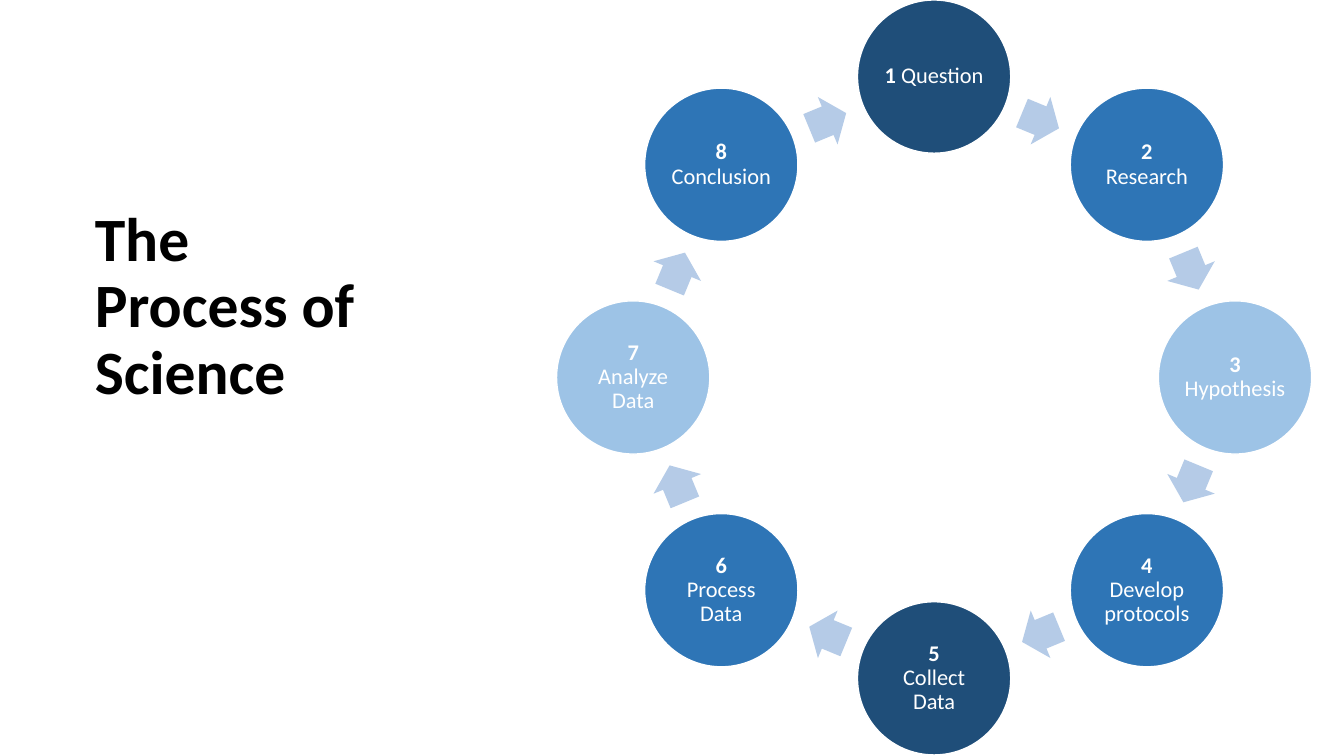
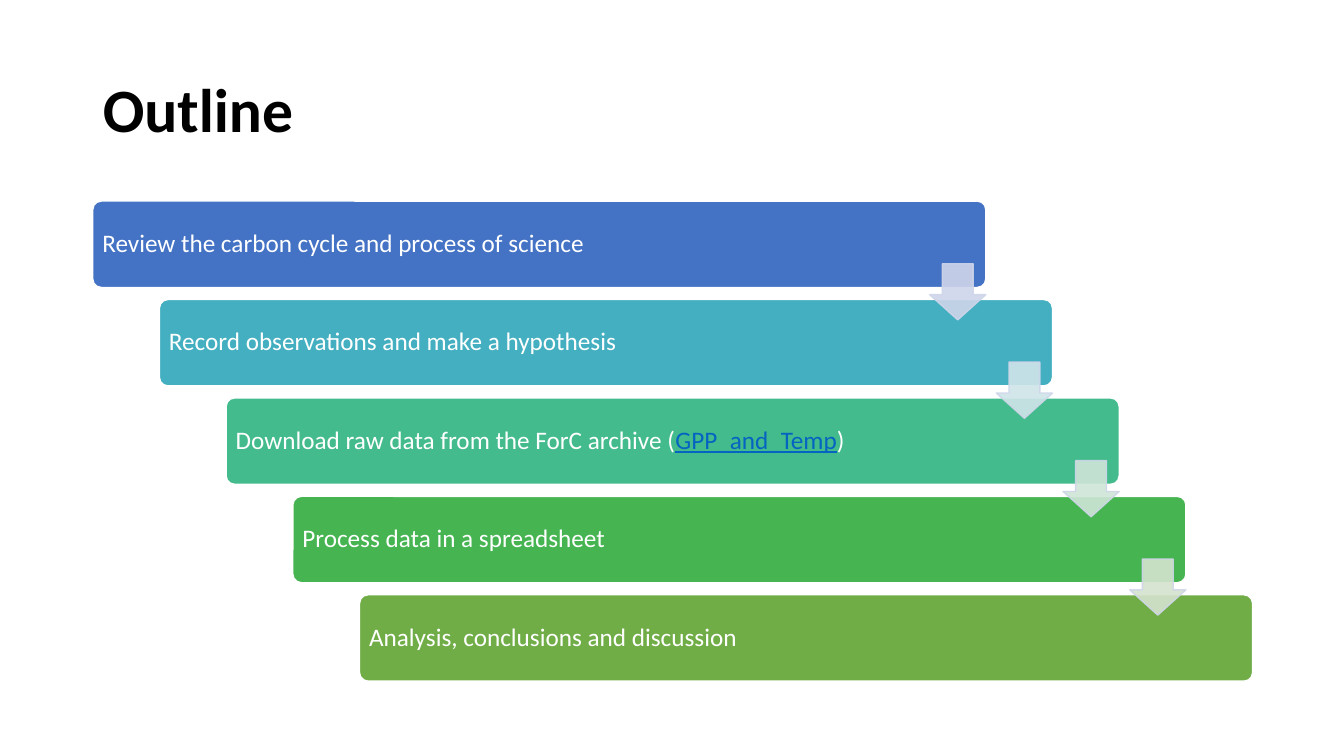
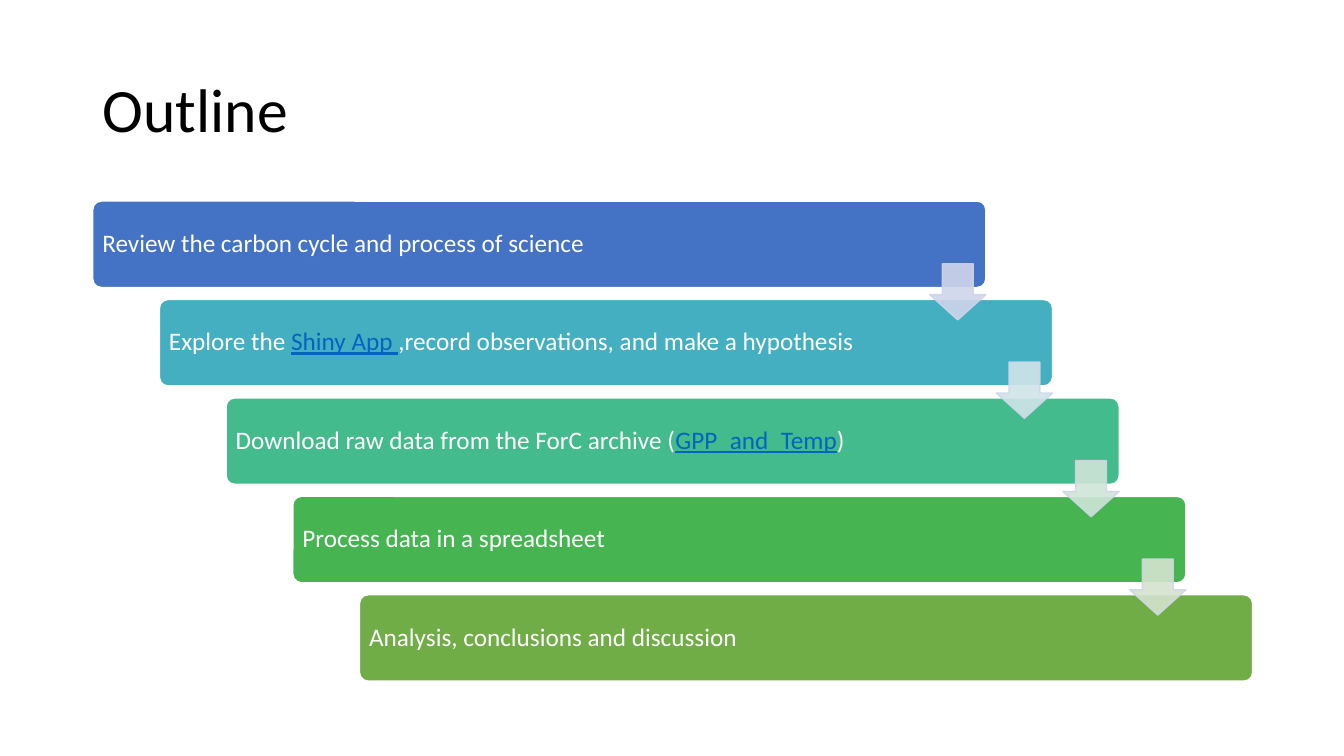
from dataclasses import dataclass
from math import cos, pi, sin

from lxml.etree import SubElement
from pptx import Presentation
from pptx.dml.color import RGBColor
from pptx.enum.shapes import MSO_SHAPE as SHAPE
from pptx.enum.text import MSO_ANCHOR as ANCHOR, MSO_AUTO_SIZE as AUTO, PP_ALIGN as ALIGN
from pptx.oxml.ns import qn
from pptx.util import Inches, Pt

WIDE, HIGH = 13.33, 7.5


@dataclass(frozen=True)
class Theme:
    font: str = "Calibri"
    ink: str = "000000"
    paper: str = "FFFFFF"
    link: str = "0563C1"
    discs: tuple = ("1F4E79", "2E75B6", "9DC3E6", "2E75B6")
    turn: str = "B5CBE7"
    bars: tuple = ("4472C4", "43AFC0", "43BB8D", "45B451", "70AD47")
    drops: tuple = ("CFD5EA", "CFE5E8", "CFE5D8", "D5E3CF")
    edge: str = "CFD5EA"
    head: int = 44
    step: int = 18
    label: int = 16


LOOK = Theme()


def share(x, y, w, h):
    """Turn shares of the slide into a box in inches."""
    return x * WIDE, y * HIGH, w * WIDE, h * HIGH


def paint(fill, color, alpha=None):
    fill.solid()
    fill.fore_color.rgb = RGBColor.from_string(color)
    if alpha:
        tint = fill._xPr.find(qn("a:solidFill"))[0]
        SubElement(tint, qn("a:alpha")).set("val", str(alpha * 1000))


def draw(slide, kind, box, color, edge=None, adj=(), alpha=None):
    item = slide.shapes.add_shape(kind, *map(Inches, box))
    item.shadow.inherit = False
    paint(item.fill, color, alpha)
    if edge:
        item.line.width = Pt(1)
        paint(item.line.fill, edge, alpha)
    else:
        item.line.fill.background()
    for i, val in enumerate(adj):
        item.adjustments[i] = val
    return item


def write(item, runs, size, color, align=ALIGN.LEFT, pad=0.1):
    """Fill a shape with one paragraph; each run is (text, format values)."""
    frame = item.text_frame
    form = {"word_wrap": True, "auto_size": AUTO.NONE, "vertical_anchor": ANCHOR.MIDDLE}
    form |= {f"margin_{side}": Inches(pad) for side in ("left", "right", "top", "bottom")}
    for key, val in form.items():
        setattr(frame, key, val)
    para = frame.paragraphs[0]
    para.alignment, para.line_spacing = align, 0.9
    for text, extra in runs:
        if text == "\n":
            para.add_line_break()
            continue
        run = para.add_run()
        run.text = text
        look = {"name": LOOK.font, "size": Pt(size), "bold": False, "color": color} | extra
        run.font.color.rgb = RGBColor.from_string(look.pop("color"))
        for key, val in look.items():
            setattr(run.font, key, val)


def start(deck, text, box, bold=True):
    """Add a title-only slide with its title in the box."""
    slide = deck.slides.add_slide(deck.slide_layouts[5])
    title = slide.shapes.title
    for key, val in zip(("left", "top", "width", "height"), box):
        setattr(title, key, Inches(val))
    write(title, [(text, {"bold": bold})], LOOK.head, LOOK.ink)
    return slide


def ring(slide, box, names):
    """Discs on a circle, with an arrow between each pair."""
    left, top, side, _ = box
    disc, long, tall = 0.203 * side, 0.053 * side, 0.068 * side
    reach, turn = (side - disc) / 2, 2 * pi / len(names)

    def spot(angle, far, w, h):
        return (left + side / 2 + far * sin(angle) - w / 2,
                top + side / 2 - far * cos(angle) - h / 2, w, h)

    for i, name in enumerate(names):
        color = LOOK.discs[i % len(LOOK.discs)]
        item = draw(slide, SHAPE.OVAL, spot(i * turn, reach, disc, disc), color, LOOK.paper)
        gap = "\n" if i else " "
        runs = [(str(i + 1), {"bold": True}), (gap, {}), (name, {})]
        write(item, runs, LOOK.label, LOOK.paper, ALIGN.CENTER, 0.02)
        # Arrow at the middle of the chord to the next disc
        mid = (i + 0.5) * turn
        place = spot(mid, reach * cos(turn / 2), long, tall)
        arrow = draw(slide, SHAPE.RIGHT_ARROW, place, LOOK.turn, adj=(0.6, 0.5))
        arrow.rotation = mid * 180 / pi


def stairs(slide, box, steps):
    """Bars stepping down to the right, with an arrow over each gap."""
    left, top, width, height = box
    wide, high = 0.77 * width, 0.18 * height
    last = len(steps) - 1
    over, down = (width - wide) / last, (height - high) / last
    spots = [(left + i * over, top + i * down) for i in range(len(steps))]
    marks = {"color": LOOK.link, "underline": True}
    for (x, y), parts, color in zip(spots, steps, LOOK.bars):
        bar = draw(slide, SHAPE.ROUNDED_RECTANGLE, (x, y, wide, high), color, LOOK.paper, (0.1,))
        # Every second part looks like a link
        runs = [(part, marks if i % 2 else {}) for i, part in enumerate(parts)]
        write(bar, runs, LOOK.step, LOOK.paper, pad=0.07)
    size = 0.65 * high
    for (x, y), color in zip(spots, LOOK.drops):
        place = (x + wide - size, y + 0.725 * high, size, size)
        draw(slide, SHAPE.DOWN_ARROW, place, color, LOOK.edge, (0.55, 0.45), 90)


def outline(deck, second, bold):
    slide = start(deck, "Outline", share(0.069, 0.053, 0.863, 0.193), bold)
    stairs(slide, share(0.069, 0.266, 0.863, 0.635), [
        ("Review the carbon cycle and process of science",),
        second,
        ("Download raw data from the ForC archive (", "GPP_and_Temp", ")"),
        ("Process data in a spreadsheet",),
        ("Analysis, conclusions and discussion",),
    ])


def main():
    deck = Presentation()
    deck.slide_width, deck.slide_height = Inches(WIDE), Inches(HIGH)

    # Cycle of eight stages
    slide = start(deck, "The Process of Science", share(0.063, 0.203, 0.209, 0.409))
    ring(slide, (5.52, 0, 7.49, 7.49), [
        "Question", "Research", "Hypothesis", "Develop protocols",
        "Collect Data", "Process Data", "Analyze Data", "Conclusion"])

    # Two outlines that differ in the second step
    outline(deck, ("Record observations and make a hypothesis",), True)
    outline(deck, ("Explore the ", "Shiny App ",
                   ",record observations, and make a hypothesis"), False)
    deck.save("out.pptx")


if __name__ == "__main__":
    main()
